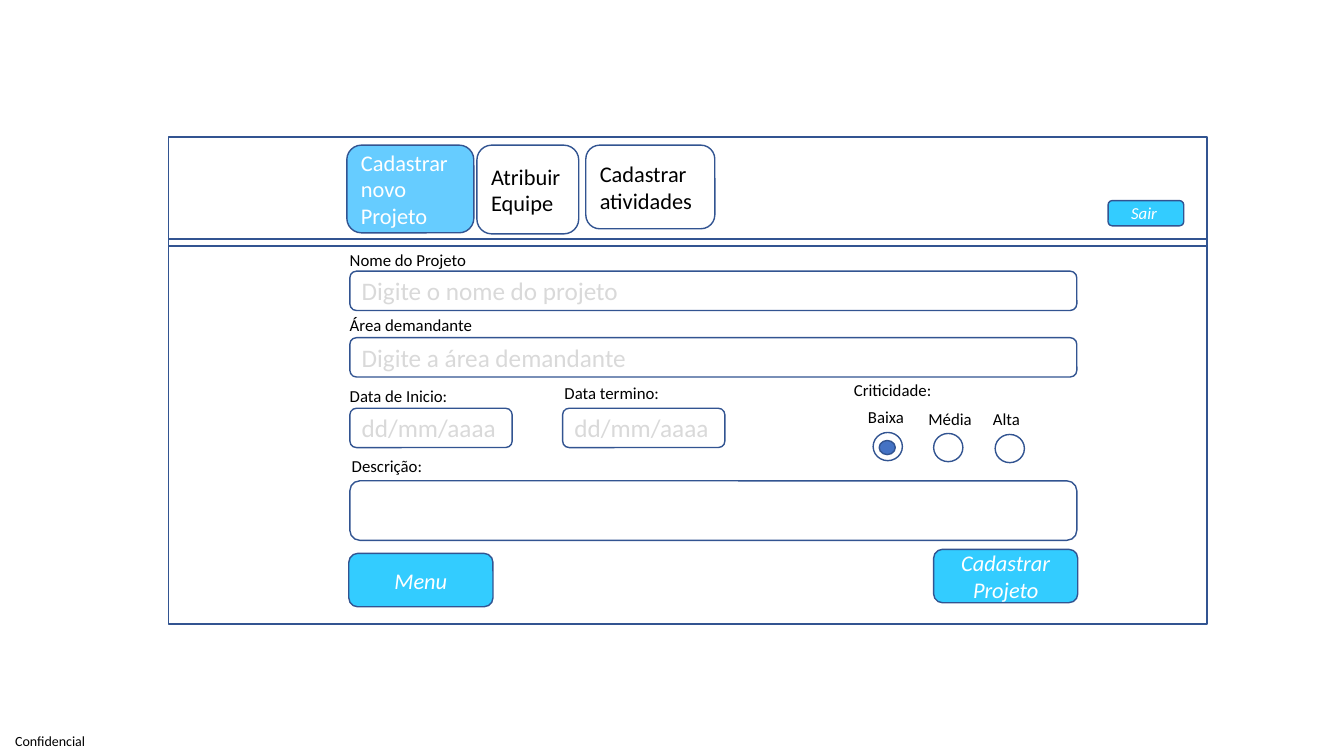
"""Builds the project registration form mockup slide."""
from pptx import Presentation
from pptx.dml.color import RGBColor
from pptx.enum.shapes import MSO_SHAPE as Shape
from pptx.enum.text import MSO_ANCHOR as Anchor, PP_ALIGN as Align
from pptx.util import Inches, Pt

BLACK = RGBColor(0, 0, 0)
WHITE = RGBColor(255, 255, 255)
OUTLINE = RGBColor(0x32, 0x54, 0x91)
PLACEHOLDER = RGBColor(0xD9, 0xD9, 0xD9)
BUTTON = RGBColor(0x33, 0xCC, 0xFF)
ACTIVE_TAB = RGBColor(0x66, 0xCC, 0xFF)
RADIO_DOT = RGBColor(0x44, 0x72, 0xC4)

FIELD_LEFT, FIELD_WIDTH, FIELD_HEIGHT = 3.47, 7.21, 0.39
DATE_WIDTH = 1.61
LABEL_WIDTH, LABEL_HEIGHT = 2.11, 0.26
BUTTON_WIDTH, BUTTON_HEIGHT = 1.43, 0.53
RADIO_WIDTH, RADIO_HEIGHT = 0.29, 0.28

PANELS = [(1.67, 1.36, 10.3, 1.08), (1.67, 2.37, 10.3, 3.82)]
LABELS = [
    ("Nome do Projeto", 3.37, 2.45),
    ("Área demandante", 3.37, 3.09),
    ("Data de Inicio:", 3.37, 3.8),
    ("Data termino:", 5.5, 3.77),
    ("Descrição:", 3.39, 4.49),
    ("Criticidade:", 8.37, 3.74),
]
FIELDS = [
    ("Digite o nome do projeto", FIELD_LEFT, 2.69, FIELD_WIDTH, FIELD_HEIGHT),
    ("Digite a área demandante", FIELD_LEFT, 3.35, FIELD_WIDTH, FIELD_HEIGHT),
    ("dd/mm/aaaa", FIELD_LEFT, 4.05, DATE_WIDTH, FIELD_HEIGHT),
    ("dd/mm/aaaa", 5.58, 4.05, DATE_WIDTH, FIELD_HEIGHT),
    ("", FIELD_LEFT, 4.77, FIELD_WIDTH, 0.59),
]
BUTTONS = [
    ("Cadastrar Projeto", 9.26, 5.45, BUTTON_WIDTH, BUTTON_HEIGHT, 16),
    ("Menu", 3.46, 5.49, BUTTON_WIDTH, BUTTON_HEIGHT, 16),
    ("Sair ", 10.99, 1.99, 0.75, 0.25, 12),
]
TABS = [
    ("Cadastrar novo Projeto", (3.44, 1.44, 1.26, 0.87), ACTIVE_TAB, WHITE),
    ("Atribuir\nEquipe", (4.73, 1.44, 1.01, 0.88), None, BLACK),
    ("Cadastrar atividades", (5.81, 1.44, 1.28, 0.83), None, BLACK),
]
RADIO_LABELS = [
    ("Baixa", 8.51, 4.03, 0.63, 0.21),
    ("Média", 9.11, 4.04, 0.7, 0.22),
    ("Alta", 9.75, 4.04, 0.7, 0.22),
]
EMPTY_RADIOS = [(9.26, 4.3), (9.87, 4.31)]
SELECTED_RADIO = (8.66, 4.29)
SELECTED_DOT = (8.72, 4.37, 0.16, 0.14)


def write(shape, text, size=12, color=BLACK, italic=False, align=Align.LEFT):
    frame = shape.text_frame
    frame.word_wrap = True
    frame.vertical_anchor = Anchor.MIDDLE
    frame.text = text
    for paragraph in frame.paragraphs:
        paragraph.alignment = align
        for run in paragraph.runs:
            run.font.name = "Calibri"
            run.font.size = Pt(size)
            run.font.italic = italic
            run.font.color.rgb = color


def add_outlined(shapes, kind, box, fill=None):
    shape = shapes.add_shape(kind, *map(Inches, box))
    shape.shadow.inherit = False
    if fill is None:
        shape.fill.background()
    else:
        shape.fill.solid()
        shape.fill.fore_color.rgb = fill
    shape.line.color.rgb = OUTLINE
    shape.line.width = Pt(1)
    return shape


def add_label(shapes, text, box, size=12):
    label = shapes.add_textbox(*map(Inches, box))
    write(label, text, size=size)
    return label


def main():
    presentation = Presentation()
    presentation.slide_width = Inches(13.33)
    presentation.slide_height = Inches(7.5)
    slide = presentation.slides.add_slide(presentation.slide_layouts[6])
    shapes = slide.shapes

    footer = add_label(shapes, "Confidencial", (0, 7.21, 1, 0.29), size=10)
    frame = footer.text_frame
    frame.margin_left = Inches(0.15)
    frame.margin_right = frame.margin_top = frame.margin_bottom = 0

    for box in PANELS:
        add_outlined(shapes, Shape.RECTANGLE, box)
    for text, left, top in LABELS:
        add_label(shapes, text, (left, top, LABEL_WIDTH, LABEL_HEIGHT))
    for text, *box in FIELDS:
        field = add_outlined(shapes, Shape.ROUNDED_RECTANGLE, box, WHITE)
        if text:
            write(field, text, size=18, color=PLACEHOLDER)
    for text, *box, size in BUTTONS:
        button = add_outlined(shapes, Shape.ROUNDED_RECTANGLE, box, BUTTON)
        write(button, text, size=size, color=WHITE, italic=True, align=Align.CENTER)
    for text, box, fill, color in TABS:
        tab = add_outlined(shapes, Shape.ROUNDED_RECTANGLE, box, fill)
        write(tab, text, size=16, color=color)

    for text, *box in RADIO_LABELS:
        add_label(shapes, text, box)
    radio_size = (RADIO_WIDTH, RADIO_HEIGHT)
    selected = shapes.add_group_shape().shapes
    add_outlined(selected, Shape.OVAL, SELECTED_DOT, RADIO_DOT)
    add_outlined(selected, Shape.OVAL, SELECTED_RADIO + radio_size)
    for position in EMPTY_RADIOS:
        add_outlined(shapes, Shape.OVAL, position + radio_size)

    presentation.save("out.pptx")


if __name__ == "__main__":
    main()
